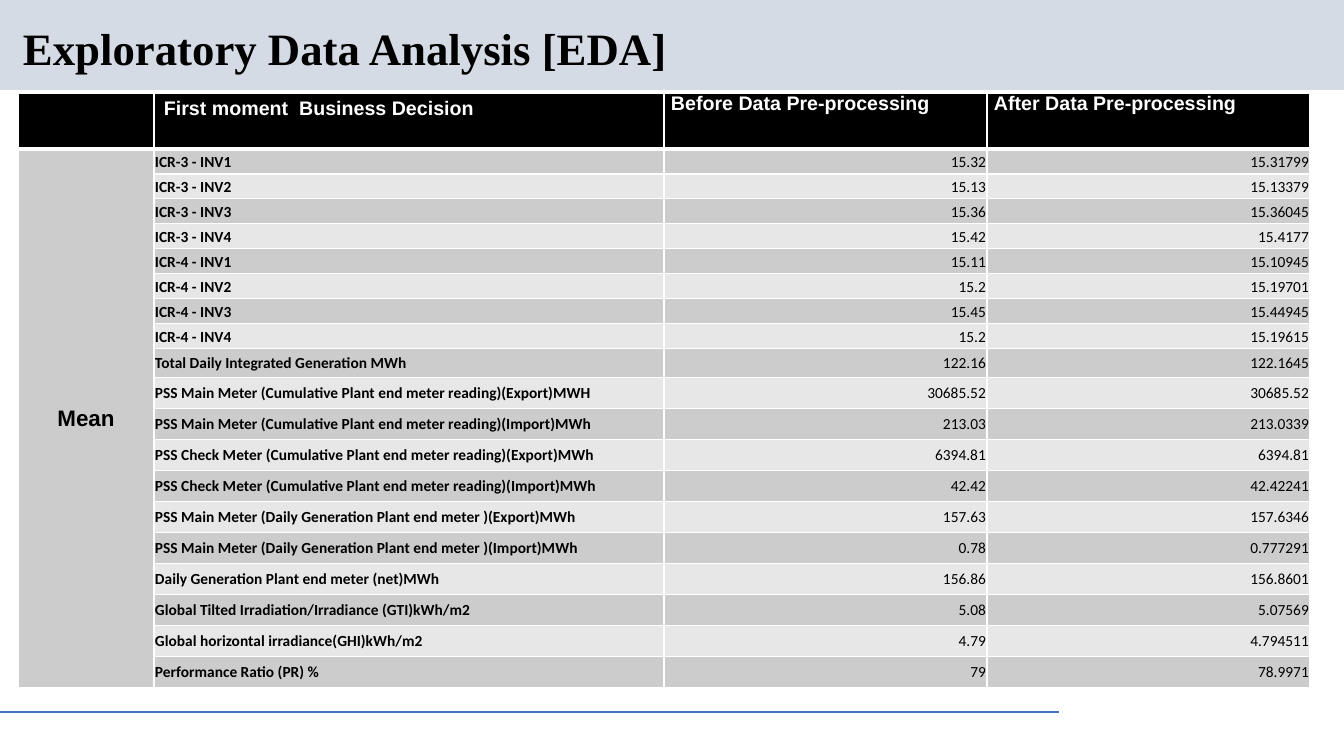
import pptx
import pptx.dml.color
import pptx.enum.shapes
import pptx.enum.text
import pptx.oxml
import pptx.oxml.ns
import pptx.util

EMU_PER_PX = 914400 / 100.8
ALIGN = pptx.enum.text.PP_ALIGN
ANCHOR = pptx.enum.text.MSO_ANCHOR

HEADINGS = ["", "First moment  Business Decision",
            "Before Data Pre-processing", "After Data Pre-processing"]
MEANS = [
    ("ICR-3 - INV1", "15.32", "15.31799"),
    ("ICR-3 - INV2", "15.13", "15.13379"),
    ("ICR-3 - INV3", "15.36", "15.36045"),
    ("ICR-3 - INV4", "15.42", "15.4177"),
    ("ICR-4 - INV1", "15.11", "15.10945"),
    ("ICR-4 - INV2", "15.2", "15.19701"),
    ("ICR-4 - INV3", "15.45", "15.44945"),
    ("ICR-4 - INV4", "15.2", "15.19615"),
    ("Total Daily Integrated Generation MWh", "122.16", "122.1645"),
    ("PSS Main Meter (Cumulative Plant end meter reading)(Export)MWH", "30685.52", "30685.52"),
    ("PSS Main Meter (Cumulative Plant end meter reading)(Import)MWh", "213.03", "213.0339"),
    ("PSS Check Meter (Cumulative Plant end meter reading)(Export)MWh", "6394.81", "6394.81"),
    ("PSS Check Meter (Cumulative Plant end meter reading)(Import)MWh", "42.42", "42.42241"),
    ("PSS Main Meter (Daily Generation Plant end meter )(Export)MWh", "157.63", "157.6346"),
    ("PSS Main Meter (Daily Generation Plant end meter )(Import)MWh", "0.78", "0.777291"),
    ("Daily Generation Plant end meter (net)MWh", "156.86", "156.8601"),
    ("Global Tilted Irradiation/Irradiance (GTI)kWh/m2", "5.08", "5.07569"),
    ("Global horizontal irradiance(GHI)kWh/m2", "4.79", "4.794511"),
    ("Performance Ratio (PR) %", "79", "78.9971"),
]
COLUMN_WIDTHS = [136, 510, 323, 323]
ROW_HEIGHTS = [56] + [25] * 8 + [29] + [31] * 10


def px(length):
    return pptx.util.Emu(round(length * EMU_PER_PX))


def rgb(hex_color):
    return pptx.dml.color.RGBColor.from_string(hex_color)


class SlideBuilder:
    BLACK, WHITE = "000000", "FFFFFF"
    BAND, RULE = "D5DBE5", "4472C4"
    STRIPES = ("E7E7E7", "CCCCCC")

    def __init__(self, slide):
        self.slide = slide

    def style(self, paragraph, size, font, color=BLACK, bold=True, align=ALIGN.LEFT):
        paragraph.alignment = align
        paragraph.font.size = pptx.util.Pt(size)
        paragraph.font.name = font
        paragraph.font.bold = bold
        paragraph.font.color.rgb = rgb(color)

    def band(self, left, top, width, height):
        band = self.slide.shapes.add_shape(
            pptx.enum.shapes.MSO_SHAPE.RECTANGLE, px(left), px(top), px(width), px(height))
        band.shadow.inherit = False
        band.fill.solid()
        band.fill.fore_color.rgb = rgb(self.BAND)
        band.line.fill.background()

    def rule(self, left, right, y):
        rule = self.slide.shapes.add_connector(
            pptx.enum.shapes.MSO_CONNECTOR.STRAIGHT, px(left), px(y), px(right), px(y))
        rule.line.color.rgb = rgb(self.RULE)
        rule.line.width = pptx.util.Pt(0.75)
        properties = rule._element.spPr
        properties.append(properties.makeelement(pptx.oxml.ns.qn("a:effectLst"), {}))

    def title(self, text, left, top, width, height):
        frame = self.slide.shapes.add_textbox(px(left), px(top), px(width), px(height)).text_frame
        frame.word_wrap = True
        frame.vertical_anchor = ANCHOR.MIDDLE
        frame.text = text
        frame.paragraphs[0].line_spacing = 0.9
        self.style(frame.paragraphs[0], 32, "Times New Roman")

    def cell(self, cell, text, fill, anchor, insets, edges, **text_style):
        """Fill one cell; insets and edge widths (pt) run left, right, top, bottom."""
        cell.text = text
        cell.vertical_anchor = anchor
        cell.margin_left, cell.margin_right, cell.margin_top, cell.margin_bottom = map(px, insets)
        self.style(cell.text_frame.paragraphs[0], **text_style)
        for side, points in zip("LRTB", edges):
            cell._tc.get_or_add_tcPr().append(pptx.oxml.parse_xml(
                f'<a:ln{side} {pptx.oxml.ns.nsdecls("a")} w="{pptx.util.Pt(points)}">'
                f'<a:solidFill><a:srgbClr val="{self.WHITE}"/></a:solidFill></a:ln{side}>'))
        cell.fill.solid()
        cell.fill.fore_color.rgb = rgb(fill)

    def means_table(self, left, top):
        table = self.slide.shapes.add_table(
            len(ROW_HEIGHTS), len(COLUMN_WIDTHS), px(left), px(top),
            px(sum(COLUMN_WIDTHS)), px(sum(ROW_HEIGHTS))).table
        for column, width in zip(table.columns, COLUMN_WIDTHS):
            column.width = px(width)
        for row, height in zip(table.rows, ROW_HEIGHTS):
            row.height = px(height)

        for index, heading in enumerate(HEADINGS):
            insets = (10, 10, 5, 5) if index < 2 else (7, 7, 0, 0)
            self.cell(table.cell(0, index), heading, self.BLACK, ANCHOR.TOP, insets,
                      (1, 1, 1, 3), size=14, font="Arial", color=self.WHITE)

        table.cell(1, 0).merge(table.cell(len(MEANS), 0))
        for row, measure in enumerate(MEANS, start=1):
            edges = (1, 1, 3 if row == 1 else 1, 1)
            self.cell(table.cell(row, 0), "Mean" if row == 1 else "", self.STRIPES[1],
                      ANCHOR.MIDDLE, (10, 10, 0, 0), edges,
                      size=16 if row == 1 else 11, font="Arial", align=ALIGN.CENTER)
            for column, text in enumerate(measure, start=1):
                is_label = column == 1
                self.cell(table.cell(row, column), text, self.STRIPES[row % 2],
                          ANCHOR.MIDDLE, (1, 1, 1, 0), edges, size=11, font="Calibri",
                          bold=is_label, align=ALIGN.LEFT if is_label else ALIGN.RIGHT)


def main():
    deck = pptx.Presentation()
    deck.slide_width, deck.slide_height = px(1344), px(756)
    builder = SlideBuilder(deck.slides.add_slide(deck.slide_layouts[6]))
    builder.band(0, 0, 1344, 90)
    builder.rule(0, 1059, 712)
    builder.title("Exploratory Data Analysis [EDA]", 13, 21, 1019, 59)
    builder.means_table(18, 93)
    deck.save("out.pptx")


if __name__ == "__main__":
    main()
